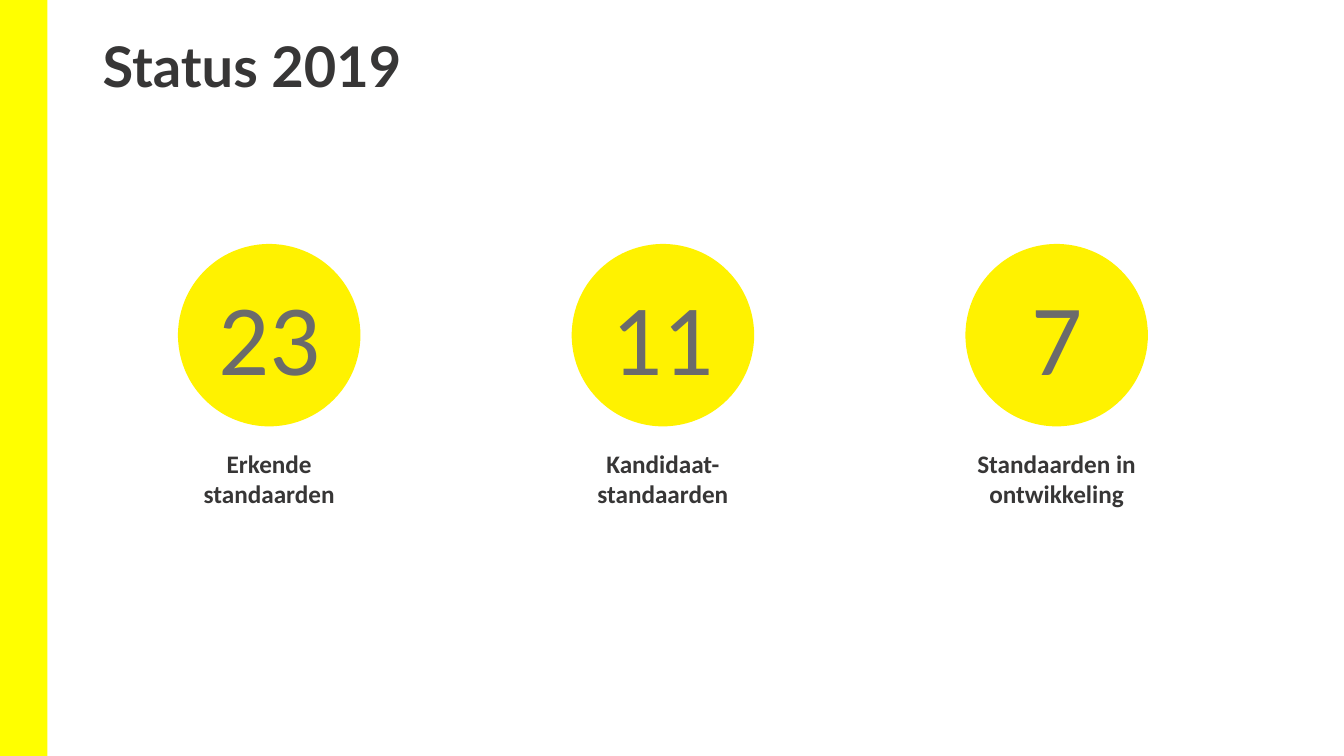
from pptx import Presentation
from pptx.dml.color import RGBColor
from pptx.enum.shapes import MSO_SHAPE as Shape
from pptx.enum.text import MSO_ANCHOR as Anchor, PP_ALIGN as Align
from pptx.util import Inches, Pt

TITLE = "Status 2019"
COUNTS = [
    ("23", "Erkende standaarden"),
    ("11", "Kandidaat- standaarden"),
    ("7", "Standaarden in ontwikkeling"),
]

WIDTH, HEIGHT = 13.33, 7.5
BAR_WIDTH = 0.47
FIRST_CENTER, COLUMN_STEP = 2.67, 3.905
CIRCLE_TOP, CIRCLE_SIZE = 2.42, 1.81
LABEL_TOP, LABEL_WIDTH, LABEL_HEIGHT = 4.4, 2.16, 0.71
DARK, GRAY, YELLOW, BAR_YELLOW = "373636", "6B6B6B", "FFF200", "FFFF00"

presentation = Presentation()
presentation.slide_width = Inches(WIDTH)
presentation.slide_height = Inches(HEIGHT)
slide = presentation.slides.add_slide(presentation.slide_layouts[6])


def color(value):
    return RGBColor.from_string(value)


def add_filled(kind, left, top, width, height, fill):
    shape = slide.shapes.add_shape(
        kind, Inches(left), Inches(top), Inches(width), Inches(height))
    shape.shadow.inherit = False
    shape.fill.solid()
    shape.fill.fore_color.rgb = color(fill)
    shape.line.fill.background()
    return shape


def add_box(left, top, width, height):
    return slide.shapes.add_textbox(
        Inches(left), Inches(top), Inches(width), Inches(height))


def write(shape, text, *, size, font="Calibri", ink=DARK, bold=False,
          align=Align.CENTER, anchor=Anchor.TOP, spacing=None):
    frame = shape.text_frame
    frame.word_wrap = True
    frame.vertical_anchor = anchor
    paragraph = frame.paragraphs[0]
    paragraph.alignment = align
    paragraph.line_spacing = spacing
    run = paragraph.add_run()
    run.text = text
    run.font.name = font
    run.font.size = Pt(size)
    run.font.bold = bold
    run.font.color.rgb = color(ink)


add_filled(Shape.RECTANGLE, 0, 0, BAR_WIDTH, HEIGHT, BAR_YELLOW)
write(add_box(0.92, 0.11, 8.82, 1.21), TITLE, size=40, font="Lato", bold=True,
      align=Align.LEFT, anchor=Anchor.MIDDLE, spacing=0.75)

for column, (count, label) in enumerate(COUNTS):
    center = FIRST_CENTER + column * COLUMN_STEP
    circle = add_filled(Shape.OVAL, center - CIRCLE_SIZE / 2, CIRCLE_TOP,
                        CIRCLE_SIZE, CIRCLE_SIZE, YELLOW)
    write(circle, count, size=72, ink=GRAY, anchor=Anchor.MIDDLE)
    label_box = add_box(center - LABEL_WIDTH / 2, LABEL_TOP,
                        LABEL_WIDTH, LABEL_HEIGHT)
    write(label_box, label, size=18, bold=True)

presentation.save("out.pptx")
